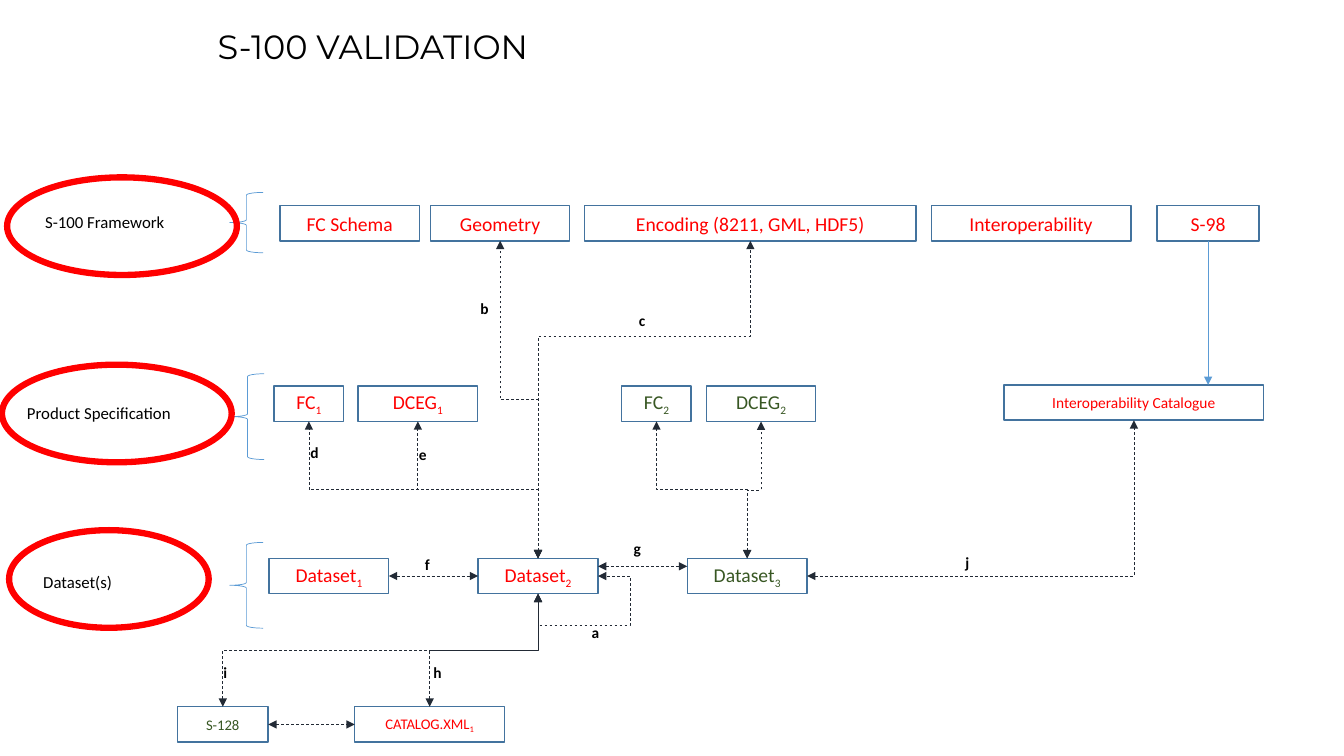
import pptx
import pptx.dml.color
import pptx.enum.dml
import pptx.enum.shapes
import pptx.enum.text
import pptx.oxml
import pptx.oxml.ns
import pptx.util
from lxml import etree

Cm = pptx.util.Cm
RGBColor = pptx.dml.color.RGBColor
SHAPE = pptx.enum.shapes.MSO_SHAPE
CONNECTOR = pptx.enum.shapes.MSO_CONNECTOR
ALIGN = pptx.enum.text.PP_ALIGN
ANCHOR = pptx.enum.text.MSO_ANCHOR
qn = pptx.oxml.ns.qn

BLACK = RGBColor(0x00, 0x00, 0x00)
RED = RGBColor(0xFF, 0x00, 0x00)
GREEN = RGBColor(0x38, 0x57, 0x23)
BOX_BLUE = RGBColor(0x43, 0x73, 0x9E)
LIGHT_BLUE = RGBColor(0x5B, 0x9B, 0xD5)
DARK = RGBColor(0x22, 0x2A, 0x35)

BOX_HEIGHT = 0.89


def top(box):
    return box.left + box.width // 2, box.top


def bottom(box):
    return box.left + box.width // 2, box.top + box.height


def left(box):
    return box.left, box.top + box.height // 2


def right(box):
    return box.left + box.width, box.top + box.height // 2


class Diagram:
    """Holds the style and the current slide."""

    font = "Calibri"
    title_font = "Montserrat"

    def __init__(self, page):
        self.page = page

    def add_span(self, para, text, size, color, bold=False, font=None, subscript=False):
        span = para.add_run()
        span.text = text
        span.font.name = font or self.font
        span.font.size = pptx.util.Pt(size)
        span.font.bold = bold
        span.font.color.rgb = color
        if subscript:
            span.font._element.set("baseline", "-25000")

    def title(self, text, x, y, width, height):
        box = self.page.shapes.title
        box.left, box.top, box.width, box.height = Cm(x), Cm(y), Cm(width), Cm(height)
        box.text_frame.auto_size = pptx.enum.text.MSO_AUTO_SIZE.NONE
        box.text_frame.vertical_anchor = ANCHOR.MIDDLE
        para = box.text_frame.paragraphs[0]
        para.alignment = ALIGN.LEFT
        para.line_spacing = 0.9
        self.add_span(para, text, 24, BLACK, font=self.title_font)

    def outline(self, kind, x, y, width, height, color, weight):
        shape = self.page.shapes.add_shape(kind, Cm(x), Cm(y), Cm(width), Cm(height))
        shape.shadow.inherit = False
        shape.fill.background()
        shape.line.color.rgb = color
        shape.line.width = pptx.util.Pt(weight)
        return shape

    def box(self, text, x, y, width, color=RED, size=14, index=""):
        box = self.outline(SHAPE.RECTANGLE, x, y, width, BOX_HEIGHT, BOX_BLUE, 1)
        box.text_frame.vertical_anchor = ANCHOR.MIDDLE
        para = box.text_frame.paragraphs[0]
        para.alignment = ALIGN.CENTER
        self.add_span(para, text, size, color)
        if index:
            self.add_span(para, index, size, color, subscript=True)
        return box

    def label(self, text, x, y, width=0.9, height=0.89, size=11, bold=True):
        box = self.page.shapes.add_textbox(Cm(x), Cm(y), Cm(width), Cm(height))
        box.text_frame.word_wrap = True
        self.add_span(box.text_frame.paragraphs[0], text, size, BLACK, bold)

    def finish(self, link, color, dashed, both):
        link.line.color.rgb = color
        link.line.width = pptx.util.Pt(0.5)
        if dashed:
            link.line.dash_style = pptx.enum.dml.MSO_LINE.DASH
        properties = link.element.spPr
        line = properties.find(qn("a:ln"))
        for end in ("a:headEnd", "a:tailEnd") if both else ("a:tailEnd",):
            etree.SubElement(line, qn(end), type="triangle")
        etree.SubElement(properties, qn("a:effectLst"))

    def arrow(self, start, end, color=DARK, dashed=True, both=True):
        link = self.page.shapes.add_connector(CONNECTOR.STRAIGHT, *start, *end)
        self.finish(link, color, dashed, both)

    def corner(self, start, end):
        """Runs sideways first, then turns once."""
        link = self.page.shapes.add_connector(CONNECTOR.ELBOW, *start, *end)
        link.element.spPr.find(qn("a:prstGeom")).set("prst", "bentConnector2")
        self.finish(link, DARK, True, True)

    def riser(self, start, end, bends=(0.5,)):
        """Leaves a lower start vertically; bends are shares of rise and run."""
        (x1, y1), (x2, y2) = start, end
        rise, run = y1 - y2, abs(x2 - x1)
        link = self.page.shapes.add_connector(CONNECTOR.ELBOW, 0, 0, rise, run)
        link.left = (x1 + x2 - rise) // 2
        link.top = (y1 + y2 - run) // 2
        frame = link.element.spPr.find(qn("a:xfrm"))
        frame.set("rot", "16200000")
        if x2 < x1:
            frame.set("flipV", "1")
        geometry = link.element.spPr.find(qn("a:prstGeom"))
        geometry.set("prst", f"bentConnector{len(bends) + 2}")
        guides = geometry.find(qn("a:avLst"))
        for number, bend in enumerate(bends, 1):
            etree.SubElement(guides, qn("a:gd"), name=f"adj{number}",
                             fmla=f"val {round(bend * 100000)}")
        self.finish(link, DARK, True, True)


def main():
    deck = pptx.Presentation()
    deck.slide_width, deck.slide_height = Cm(33.87), Cm(19.05)
    diagram = Diagram(deck.slides.add_slide(deck.slide_layouts[5]))
    diagram.title("S-100 VALIDATION", 5.23, 0, 28.65, 2.46)

    # Levels: name, its place, brace and ring
    levels = [
        ("S-100 Framework", (0.89, 5.21, 4.6), (5.79, 4.85, 1.52), (0.18, 4.47, 5.79)),
        ("Product Specification", (0.43, 10.03, 5.38), (5.82, 9.42, 2.16), (0.05, 9.19, 5.79)),
        ("Dataset(s)", (0.84, 14.27, 2.92), (5.79, 13.67, 2.16), (0.23, 13.36, 5.03)),
    ]
    for name, (x, y, width), brace, ring in levels:
        diagram.label(name, x, y, width, 0.94, size=12, bold=False)
        diagram.outline(SHAPE.LEFT_BRACE, brace[0], brace[1], 0.84, brace[2], LIGHT_BLUE, 0.5)
        diagram.outline(SHAPE.OVAL, *ring, 2.46, RED, 4.5)

    # Framework boxes
    framework = 5.18
    diagram.box("FC Schema", 7.06, framework, 3.51)
    geometry = diagram.box("Geometry", 10.85, framework, 3.51)
    encoding = diagram.box("Encoding (8211, GML, HDF5)", 14.73, framework, 8.36)
    diagram.box("Interoperability", 23.47, framework, 5.03)
    s98 = diagram.box("S-98", 29.16, framework, 2.57)

    # Product specification boxes
    product = 9.73
    fc1 = diagram.box("FC", 6.91, product, 1.75, index="1")
    dceg1 = diagram.box("DCEG", 9.02, product, 3.02, index="1")
    fc2 = diagram.box("FC", 15.67, product, 1.75, GREEN, index="2")
    dceg2 = diagram.box("DCEG", 17.81, product, 2.74, GREEN, index="2")
    catalogue = diagram.box("Interoperability Catalogue", 25.3, 9.7, 6.55, size=11)

    # Dataset boxes
    dataset1, dataset2, dataset3 = [
        diagram.box("Dataset", 6.78 + 5.27 * step, 14.07, 3.02, color, index=str(step + 1))
        for step, color in enumerate((RED, RED, GREEN))]

    # Exchange files
    s128 = diagram.box("S-128", 4.47, 17.81, 2.29, GREEN, 10.5)
    catalog = diagram.box("CATALOG.XML", 8.94, 17.81, 3.78, RED, 10.5, "1")

    # Straight arrows
    s98_x, s98_y = bottom(s98)
    diagram.arrow((s98_x, s98_y), (s98_x, catalogue.top), LIGHT_BLUE, False, False)
    diagram.arrow(right(dataset1), left(dataset2))
    diagram.arrow((right(dataset2)[0], Cm(14.27)), (dataset3.left, Cm(14.27)))
    diagram.arrow(right(s128), left(catalog))

    # Bent arrows
    for lower, upper, bend in [
        (dataset2, fc1, 0.5), (dataset2, dceg1, 0.5), (dataset2, geometry, 0.5),
        (dataset2, encoding, 0.7), (dataset3, fc2, 0.5), (dataset3, dceg2, 0.5),
        (s128, dataset2, 0.5), (catalog, dataset2, 0.5),
    ]:
        diagram.riser(top(lower), bottom(upper), (bend,))
    diagram.riser(bottom(dataset2), right(dataset2), (-1.77, 1.54))
    diagram.corner(right(dataset3), bottom(catalogue))

    # Letters on the arrows
    for letter, x, y in [
        ("a", 14.66, 15.57), ("b", 11.86, 7.42), ("c", 15.85, 7.72), ("d", 7.57, 11.05),
        ("e", 10.31, 11.1), ("f", 10.46, 13.87), ("g", 15.72, 13.46), ("h", 10.67, 16.59),
        ("i", 5.38, 16.59), ("j", 24.08, 13.82),
    ]:
        diagram.label(letter, x, y)

    deck.save("out.pptx")


if __name__ == "__main__":
    main()
